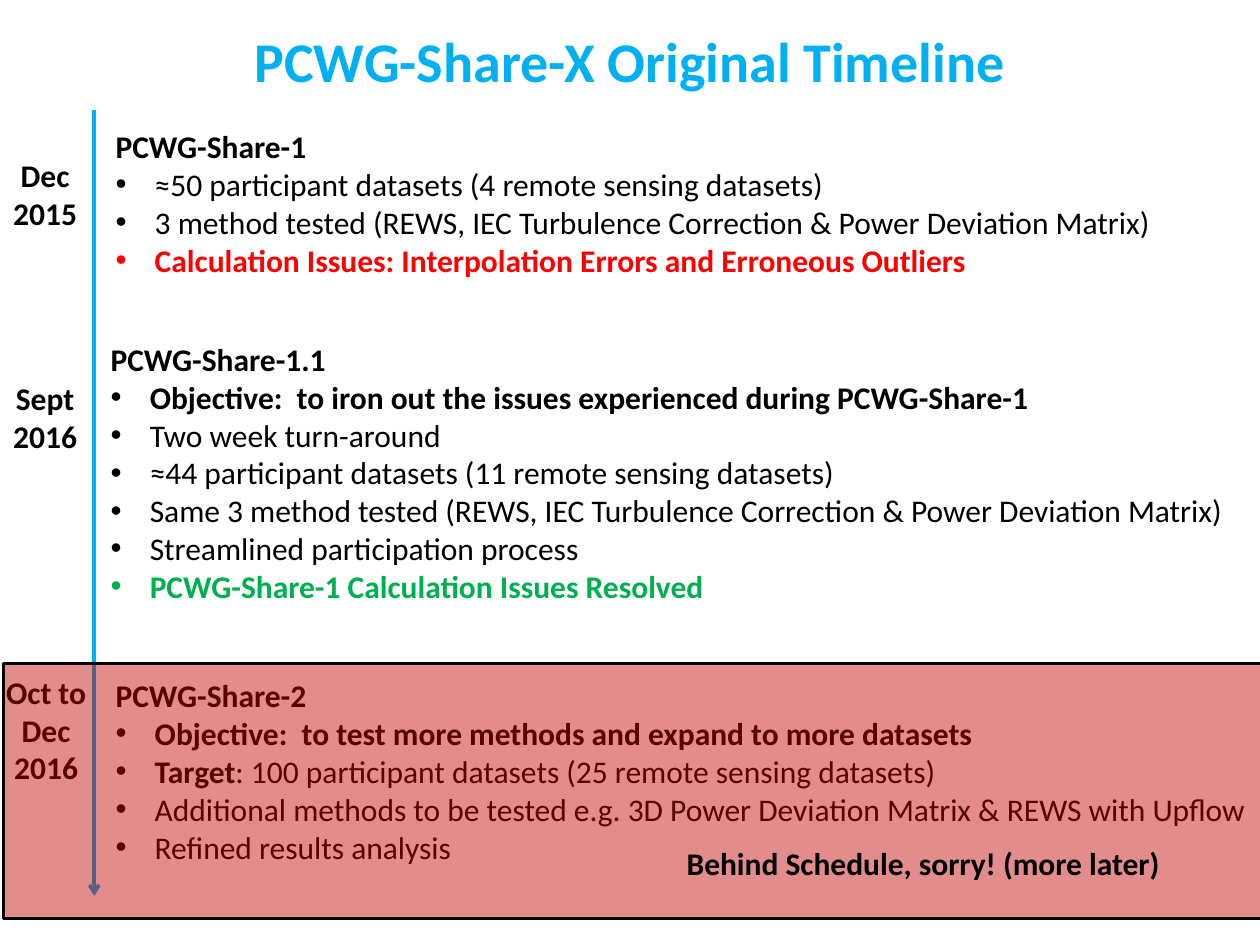
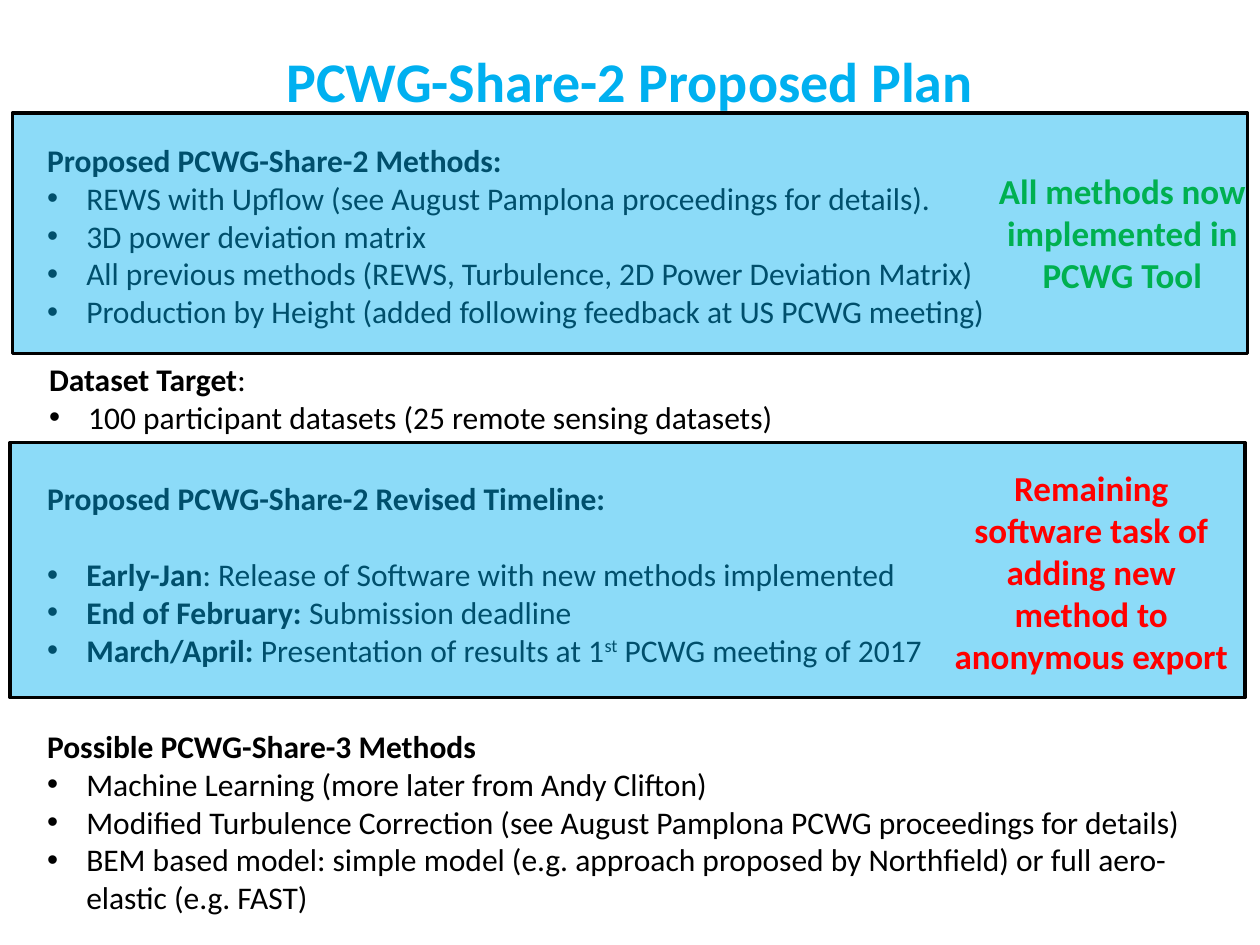
from dataclasses import dataclass

from lxml.etree import SubElement
from pptx import Presentation
from pptx.dml.color import RGBColor
from pptx.enum.shapes import MSO_CONNECTOR, MSO_SHAPE
from pptx.enum.text import MSO_ANCHOR, MSO_AUTO_SIZE, PP_ALIGN
from pptx.oxml.ns import qn
from pptx.slide import Slide
from pptx.util import Cm, Pt

FONT = "Calibri"
BLACK, RED, GREEN = "000000", "FF0000", "00B050"
SKY, DARK_RED = "00B0F0", "C00000"
SLIDE_WIDTH, SLIDE_HEIGHT = 25.4, 19.05
BODY_SIZE, CALLOUT_SIZE, TITLE_SIZE = 18, 20, 32
BULLET_INDENT = 0.79
HIGHLIGHT_ALPHA = 45


@dataclass(frozen=True)
class Segment:
    """A stretch of text in one style."""
    text: str
    bold: bool = False
    superscript: bool = False


@dataclass(frozen=True)
class Line:
    """One paragraph, bulleted or plain."""
    segments: tuple[Segment, ...]
    bullet: bool = False
    color: str = BLACK
    space_after: float = 0


@dataclass(frozen=True)
class Box:
    """Place and size in centimetres."""
    left: float
    top: float
    width: float
    height: float

    def lengths(self) -> tuple[Cm, Cm, Cm, Cm]:
        """Return the box as lengths."""
        return Cm(self.left), Cm(self.top), Cm(self.width), Cm(self.height)


@dataclass(frozen=True)
class TextBlock:
    """A text box and its paragraphs."""
    box: Box
    lines: tuple[Line, ...]
    size: float = BODY_SIZE
    centred: bool = False
    side_inset: float = 0.25


@dataclass(frozen=True)
class Highlight:
    """A translucent outlined band laid over text."""
    box: Box
    color: str


def strong(text: str, color: str = BLACK, space_after: float = 0) -> Line:
    """Make a bold plain line."""
    return Line((Segment(text, bold=True),), color=color, space_after=space_after)


def bullet(*pieces: str | Segment, color: str = BLACK) -> Line:
    """Make a bulleted line from plain strings and styled segments."""
    styled = tuple(Segment(piece) if isinstance(piece, str) else piece for piece in pieces)
    return Line(styled, bullet=True, color=color)


def date_label(box: Box, *words: str) -> TextBlock:
    """Make a centred date beside the timeline."""
    return TextBlock(box, tuple(map(strong, words)), centred=True, side_inset=0)


def callout(box: Box, text: str, color: str, size: float = CALLOUT_SIZE) -> TextBlock:
    """Make a centred bold remark."""
    return TextBlock(box, (strong(text, color),), size, centred=True)


def rgb(color: str) -> RGBColor:
    """Turn a hex string into a colour."""
    return RGBColor.from_string(color)


def add_text(slide: Slide, block: TextBlock):
    """Draw a text block and return its frame."""
    frame = slide.shapes.add_textbox(*block.box.lengths()).text_frame
    frame.word_wrap = True
    frame.auto_size = MSO_AUTO_SIZE.SHAPE_TO_FIT_TEXT
    frame.margin_left = frame.margin_right = Cm(block.side_inset)
    for index, line in enumerate(block.lines):
        paragraph = frame.add_paragraph() if index else frame.paragraphs[0]
        paragraph.text = line.segments[0].text
        for segment in line.segments[1:]:
            paragraph.add_run().text = segment.text
        paragraph.alignment = PP_ALIGN.CENTER if block.centred else PP_ALIGN.LEFT
        paragraph.space_after = Pt(line.space_after)
        for run, segment in zip(paragraph.runs, line.segments):
            run.font.name, run.font.size = FONT, Pt(block.size)
            run.font.bold = segment.bold
            run.font.color.rgb = rgb(line.color)
            if segment.superscript:
                run._r.get_or_add_rPr().set("baseline", "30000")
        if line.bullet:
            properties = paragraph._p.get_or_add_pPr()
            properties.set("marL", str(Cm(BULLET_INDENT)))
            properties.set("indent", str(-Cm(BULLET_INDENT)))
            SubElement(properties, qn("a:buFont"), typeface="Arial")
            SubElement(properties, qn("a:buChar"), char="•")
    return frame


def add_title(slide: Slide, text: str, top: float) -> None:
    """Draw the slide title across the full width."""
    box = Box(0, top, SLIDE_WIDTH, 1.35)
    frame = add_text(slide, callout(box, text, SKY, TITLE_SIZE))
    frame.auto_size = MSO_AUTO_SIZE.NONE
    frame.vertical_anchor = MSO_ANCHOR.MIDDLE
    frame.margin_left = frame.margin_right = Cm(0.36)
    frame.margin_top = frame.margin_bottom = Cm(0.18)


def add_highlight(slide: Slide, highlight: Highlight) -> None:
    """Draw a translucent band."""
    shape = slide.shapes.add_shape(MSO_SHAPE.RECTANGLE, *highlight.box.lengths())
    shape.shadow.inherit = False
    shape.fill.solid()
    shape.fill.fore_color.rgb = rgb(highlight.color)
    fill_color = shape._element.spPr.find(qn("a:solidFill"))[0]
    SubElement(fill_color, qn("a:alpha"), val=str(HIGHLIGHT_ALPHA * 1000))
    shape.line.color.rgb = rgb(BLACK)
    shape.line.width = Pt(2)


def add_timeline_arrow(slide: Slide, x: float, top: float, bottom: float) -> None:
    """Draw the downward time arrow."""
    arrow = slide.shapes.add_connector(
        MSO_CONNECTOR.STRAIGHT, Cm(x), Cm(top), Cm(x), Cm(bottom))
    arrow.line.color.rgb = rgb(SKY)
    arrow.line.width = Pt(2)
    SubElement(arrow.line._get_or_add_ln(), qn("a:tailEnd"), type="arrow")
    SubElement(arrow._element.spPr, qn("a:effectLst"))


def add_items(slide: Slide, items: tuple[TextBlock | Highlight, ...]) -> None:
    """Draw text blocks and bands from back to front."""
    for item in items:
        if isinstance(item, Highlight):
            add_highlight(slide, item)
        else:
            add_text(slide, item)


ORIGINAL_TIMELINE = (
    TextBlock(Box(2.08, 2.44, 22.94, 3.33), (
        strong("PCWG-Share-1"),
        bullet("≈50 participant datasets (4 remote sensing datasets)"),
        bullet("3 method tested (REWS, IEC Turbulence Correction & Power Deviation Matrix)"),
        bullet(Segment("Calculation Issues: Interpolation Errors and Erroneous Outliers", True),
               color=RED),
    )),
    date_label(Box(-0.08, 3.02, 1.98, 1.8), "Dec", "2015"),
    date_label(Box(-0.08, 7.52, 1.98, 1.8), "Sept", "2016"),
    date_label(Box(-0.15, 13.44, 2.16, 2.57), "Oct to", "Dec", "2016"),
    TextBlock(Box(1.98, 6.73, 23.42, 5.64), (
        strong("PCWG-Share-1.1"),
        bullet(Segment("Objective:  to iron out the issues experienced during PCWG-Share-1", True)),
        bullet("Two week turn-around"),
        bullet("≈44 participant datasets (11 remote sensing datasets)"),
        bullet("Same 3 method tested (REWS, IEC Turbulence Correction & Power Deviation Matrix)"),
        bullet("Streamlined participation process"),
        bullet(Segment("PCWG-Share-1 Calculation Issues Resolved", True), color=GREEN),
    )),
    TextBlock(Box(2.08, 13.51, 23.42, 4.11), (
        strong("PCWG-Share-2"),
        bullet(Segment("Objective:  to test more methods and expand to more datasets", True)),
        bullet(Segment("Target", True), ": 100 participant datasets (25 remote sensing datasets)"),
        bullet("Additional methods to be tested e.g. 3D Power Deviation Matrix & REWS with Upflow"),
        bullet("Refined results analysis"),
    )),
    Highlight(Box(0.07, 13.38, 25.4, 5.14), DARK_RED),
    callout(Box(13, 16.89, 11.23, 1.02), "Behind Schedule, sorry! (more later)",
            BLACK, BODY_SIZE),
)

PROPOSED_PLAN = (
    TextBlock(Box(0.7, 2.72, 24.41, 4.11), (
        strong("Proposed PCWG-Share-2 Methods:"),
        bullet("REWS with Upflow (see August Pamplona proceedings for details)."),
        bullet("3D power deviation matrix"),
        bullet("All previous methods (REWS, Turbulence, 2D Power Deviation Matrix)"),
        bullet("Production by Height (added following feedback at US PCWG meeting)"),
    )),
    TextBlock(Box(0.7, 9.53, 24.41, 4.11), (
        strong("Proposed PCWG-Share-2 Revised Timeline:", space_after=22),
        bullet(Segment("Early-Jan", True), ": Release of Software with new methods implemented"),
        bullet(Segment("End of February: ", True), "Submission deadline"),
        bullet(Segment("March/April: ", True), "Presentation of results at 1",
               Segment("st", superscript=True), " PCWG meeting of 2017"),
    )),
    TextBlock(Box(0.74, 7.14, 23.75, 1.8), (
        Line((Segment("Dataset Target", True), Segment(":"))),
        bullet("100 participant datasets (25 remote sensing datasets)"),
    )),
    TextBlock(Box(0.7, 14.53, 24.41, 4.11), (
        strong("Possible PCWG-Share-3 Methods"),
        bullet("Machine Learning (more later from Andy Clifton)"),
        bullet("Modified Turbulence Correction (see August Pamplona PCWG proceedings for details)"),
        bullet("BEM based model: simple model (e.g. approach proposed by Northfield) "
               "or full aero-elastic (e.g. FAST)"),
    )),
    Highlight(Box(0.2, 8.92, 24.9, 5.14), SKY),
    Highlight(Box(0.25, 2.28, 24.9, 4.85), SKY),
    callout(Box(19.74, 3.3, 5.77, 2.82), "All methods now implemented in PCWG Tool", GREEN),
    callout(Box(18.9, 9.27, 6.2, 4.52),
            "Remaining software task of adding new method to anonymous export", RED),
)


def main() -> None:
    """Build and save the presentation."""
    presentation = Presentation()
    presentation.slide_width = Cm(SLIDE_WIDTH)
    presentation.slide_height = Cm(SLIDE_HEIGHT)
    blank = presentation.slide_layouts[6]

    timeline_slide = presentation.slides.add_slide(blank)
    add_title(timeline_slide, "PCWG-Share-X Original Timeline", 0.53)
    add_timeline_arrow(timeline_slide, 1.9, 2.21, 18.06)
    add_items(timeline_slide, ORIGINAL_TIMELINE)

    plan_slide = presentation.slides.add_slide(blank)
    add_title(plan_slide, "PCWG-Share-2 Proposed Plan", 0.94)
    add_items(plan_slide, PROPOSED_PLAN)

    presentation.save("out.pptx")


if __name__ == "__main__":
    main()
